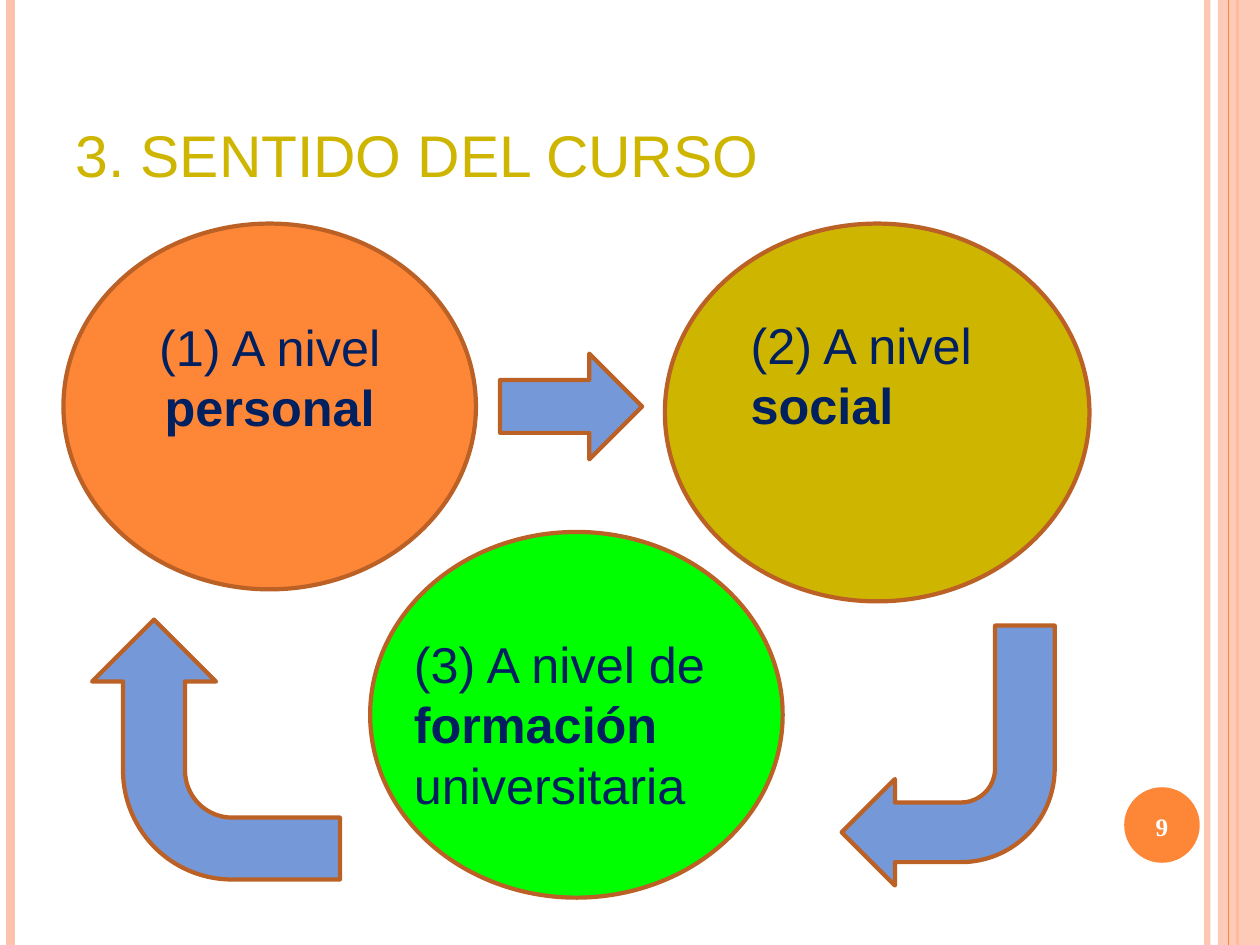
from lxml.etree import SubElement
from pptx import Presentation
from pptx.dml.color import RGBColor
from pptx.enum.shapes import MSO_CONNECTOR as Connector, MSO_SHAPE as Preset
from pptx.enum.text import MSO_ANCHOR as Anchor, PP_ALIGN as Align
from pptx.oxml.ns import qn
from pptx.util import Inches, Pt

WIDTH, HEIGHT = Pt(600.38), Pt(450.25)
ORANGE, PINK, GOLD, GREEN = "FE8637", "FEC3AE", "CEB500", "00FF00"
BLUE, BROWN, NAVY, WHITE = "7598D9", "BB6126", "002060", "FFFFFF"


def paint(fill, color, alpha=100):
    fill.solid()
    fill.fore_color.rgb = RGBColor.from_string(color)
    if alpha < 100:
        solid = fill._xPr.find(qn("a:solidFill"))
        SubElement(solid[0], qn("a:alpha"), val=str(alpha * 1000))


def write(shape, runs, font="Arial", size=24, color=NAVY, align=Align.LEFT,
          anchor=Anchor.TOP, insets=(0.1, 0.05, 0.1, 0.05)):
    frame = shape.text_frame
    frame.word_wrap = True
    frame.vertical_anchor = anchor
    (frame.margin_left, frame.margin_top,
     frame.margin_right, frame.margin_bottom) = map(Inches, insets)
    paragraph = frame.paragraphs[0]
    paragraph.alignment = align
    for text, bold in runs:
        run = paragraph.add_run()
        run.text = text
        run.font.name, run.font.size, run.font.bold = font, Pt(size), bold
        run.font.color.rgb = RGBColor.from_string(color)


class SlideBuilder:
    """Draws the elements of one slide in a shared style."""

    def __init__(self, slide, outline=BROWN, outline_width=2):
        self.shapes = slide.shapes
        self.outline = outline
        self.outline_width = outline_width

    def shape(self, preset, box, color, alpha=100, outlined=True, rotation=0, adjustments=()):
        shape = self.shapes.add_shape(preset, *map(Inches, box))
        shape.shadow.inherit = False
        shape.rotation = rotation
        for index, value in enumerate(adjustments):
            shape.adjustments[index] = value
        paint(shape.fill, color, alpha)
        if outlined:
            paint(shape.line.fill, self.outline)
            shape.line.width = Pt(self.outline_width)
        else:
            shape.line.fill.background()
        return shape

    def stripe(self, x, color, width, alpha=100):
        line = self.shapes.add_connector(
            Connector.STRAIGHT, Inches(x), 0, Inches(x), HEIGHT)
        paint(line.line.fill, color, alpha)
        line.line.width = Pt(width)
        SubElement(line._element.spPr, qn("a:effectLst"))

    def text(self, box, runs, **style):
        write(self.shapes.add_textbox(*map(Inches, box)), runs, **style)


def main():
    presentation = Presentation()
    presentation.slide_width, presentation.slide_height = WIDTH, HEIGHT
    builder = SlideBuilder(presentation.slides.add_slide(presentation.slide_layouts[6]))

    builder.stripe(7.99, PINK, 3, alpha=93)
    builder.stripe(0.07, PINK, 4.5)
    builder.stripe(8.19, ORANGE, 1.5)
    builder.shape(Preset.RECTANGLE, (8.06, 0, 0.28, HEIGHT.inches), PINK, alpha=87,
                  outlined=False)
    builder.stripe(8.13, ORANGE, 0.75)
    builder.shape(Preset.OVAL, (7.44, 5.21, 0.5, 0.5), ORANGE, outlined=False)

    tight = (0.08, 0.04, 0.08, 0.04)
    builder.text((0.42, 0.25, 6.81, 1.04), [("3. SENTIDO DEL CURSO", False)],
                 size=28, color=GOLD, anchor=Anchor.BOTTOM, insets=tight)
    builder.text((7.41, 5.23, 0.56, 0.48), [("9", True)], font="Times New Roman", size=12,
                 color=WHITE, align=Align.CENTER, anchor=Anchor.MIDDLE, insets=tight)

    personal, social, training = [
        builder.shape(Preset.FLOWCHART_CONNECTOR, box, color) for box, color in (
            ((0.42, 1.48, 2.73, 2.42), ORANGE),
            ((4.4, 1.48, 2.81, 2.5), GOLD),
            ((2.45, 3.52, 2.73, 2.42), GREEN))]
    write(personal, [("(1) A nivel ", False), ("personal", True)], align=Align.CENTER,
          anchor=Anchor.MIDDLE, insets=(0.1, 0.05, 0.1, 0.45))
    builder.text((4.87, 2.03, 2.03, 1.3), [("(2) A nivel ", False), ("social", True)])
    builder.text((2.64, 4.14, 2.31, 1.3), [
        ("(3) A nivel de ", False), ("formación", True), (" universitaria", False)])

    builder.shape(Preset.RIGHT_ARROW, (3.31, 2.34, 0.94, 0.7), BLUE)
    builder.shape(Preset.BENT_ARROW, (5.57, 4.14, 1.41, 1.72), BLUE, rotation=180,
                  adjustments=(0.28, 0.25, 0.25, 0.44))
    builder.shape(Preset.BENT_ARROW, (0.57, 4.14, 1.72, 1.64), BLUE, rotation=270,
                  adjustments=(0.25, 0.25, 0.25, 0.44))

    presentation.save("out.pptx")


if __name__ == "__main__":
    main()
